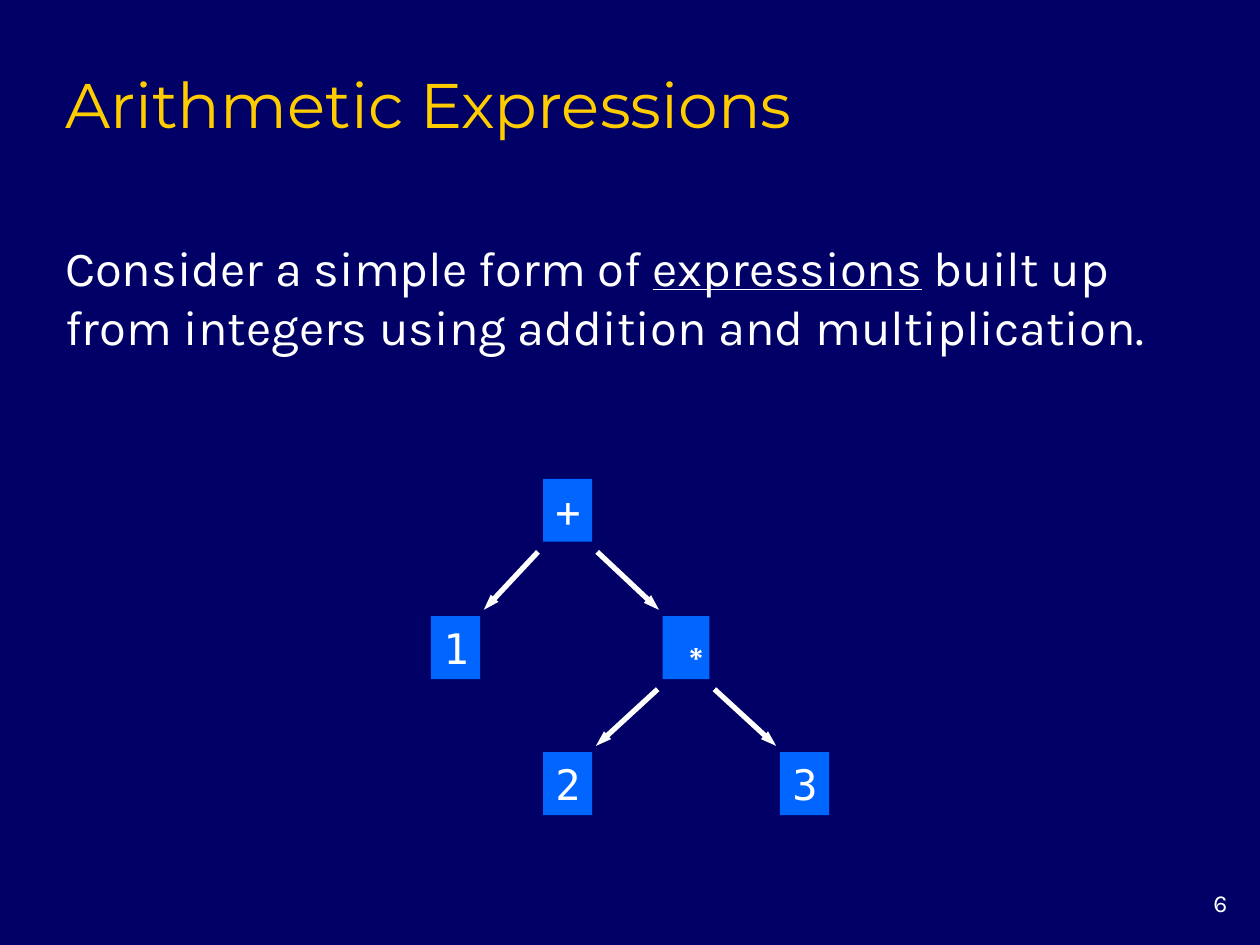
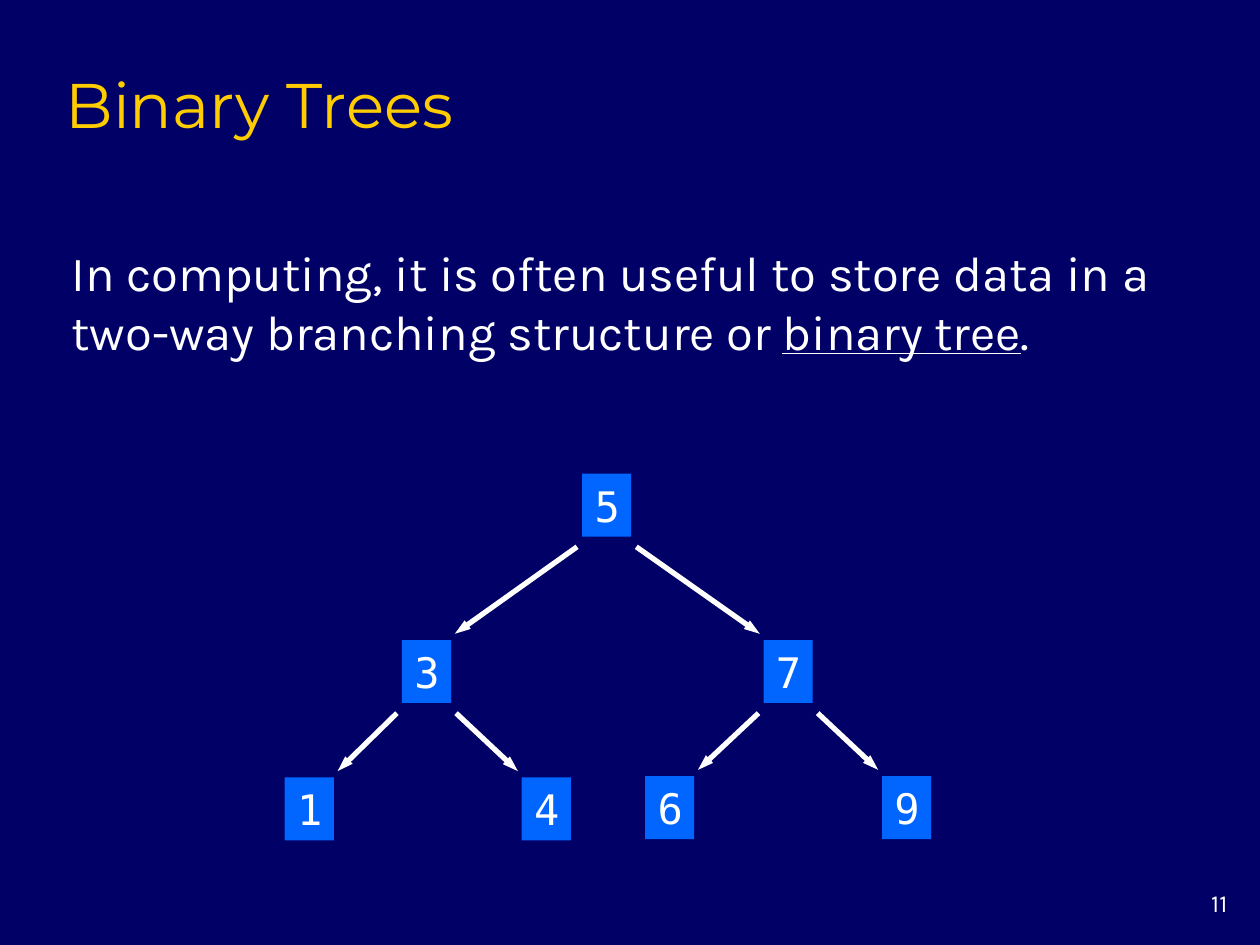
from dataclasses import dataclass
from typing import Optional

from lxml import etree
from pptx import Presentation
from pptx.dml.color import RGBColor
from pptx.enum import shapes, text
from pptx.oxml import ns
from pptx.util import Inches, Pt

NAVY = RGBColor(0x00, 0x00, 0x66)
GOLD = RGBColor(0xFF, 0xCC, 0x00)
BLUE = RGBColor(0x00, 0x66, 0xFF)
WHITE = RGBColor(0xFF, 0xFF, 0xFF)

TITLE_FONT, BODY_FONT, NODE_FONT = "Montserrat", "Karla", "DejaVu Sans Mono"

NODE_HEIGHT = 0.5
START_GAP_X, START_GAP_Y = 0.04, 0.08  # from the parent's lower corner
END_GAP_X, END_GAP_Y = 0.03, 0.05      # to the child's upper corner


@dataclass
class Node:
    label: str
    left: float
    top: float
    children: Optional[tuple["Node", "Node"]] = None
    width: float = 0.39
    font: str = NODE_FONT


@dataclass
class TreeSlide:
    number: int
    title: str
    body_box: tuple[float, float, float, float]
    before: str
    term: str
    after: str
    root: Node


SLIDES = [
    TreeSlide(
        6, "Arithmetic Expressions", (0.42, 1.83, 9.1, 1.04),
        "Consider a simple form of ", "expressions",
        " built up from integers using addition and multiplication.",
        Node("+", 4.31, 3.8, (
            Node("1", 3.42, 4.89),
            Node("∗", 5.26, 4.89, (Node("2", 4.31, 5.97), Node("3", 6.19, 5.97)),
                 width=0.37, font="Arial"),
        )),
    ),
    TreeSlide(
        11, "Binary Trees", (0.47, 1.87, 8.96, 1.04),
        "In computing, it is often useful to store data in a "
        "two-way branching structure or ", "binary tree", ".",
        Node("5", 4.62, 3.76, (
            Node("3", 3.19, 5.08, (Node("1", 2.26, 6.17), Node("4", 4.14, 6.17))),
            Node("7", 6.06, 5.08, (Node("6", 5.12, 6.16), Node("9", 7, 6.16))),
        )),
    ),
]


def add_run(p, content: str, *, font: str = BODY_FONT, size: int = 28,
            color: RGBColor = WHITE, underline: bool = False) -> None:
    r = p.add_run()
    r.text = content
    r.font.name = font
    r.font.size = Pt(size)
    r.font.color.rgb = color
    r.font.underline = underline


def format_frame(tf, *, anchor=text.MSO_ANCHOR.TOP, align=text.PP_ALIGN.LEFT,
                 wrap: bool = True, grow: bool = False):
    """Set the frame's layout and return its first paragraph."""
    tf.word_wrap = wrap
    tf.auto_size = (text.MSO_AUTO_SIZE.SHAPE_TO_FIT_TEXT if grow
                    else text.MSO_AUTO_SIZE.NONE)
    tf.vertical_anchor = anchor
    tf.paragraphs[0].alignment = align
    return tf.paragraphs[0]


def add_node(slide, node: Node) -> None:
    sp = slide.shapes.add_shape(
        shapes.MSO_SHAPE.RECTANGLE, Inches(node.left), Inches(node.top),
        Inches(node.width), Inches(NODE_HEIGHT))
    sp.shadow.inherit = False
    sp.fill.solid()
    sp.fill.fore_color.rgb = BLUE
    sp.line.fill.background()
    p = format_frame(sp.text_frame, anchor=text.MSO_ANCHOR.MIDDLE,
                     align=text.PP_ALIGN.CENTER, wrap=False, grow=True)
    add_run(p, node.label, font=node.font, size=24)


def add_arrow(slide, parent: Node, child: Node) -> None:
    """Join the facing corners of a parent and its child."""
    if child.left < parent.left:
        x1 = parent.left - START_GAP_X
        x2 = child.left + child.width + END_GAP_X
    else:
        x1 = parent.left + parent.width + START_GAP_X
        x2 = child.left - END_GAP_X
    y1 = parent.top + NODE_HEIGHT + START_GAP_Y
    y2 = child.top - END_GAP_Y
    arrow = slide.shapes.add_connector(
        shapes.MSO_CONNECTOR.STRAIGHT, Inches(x1), Inches(y1), Inches(x2), Inches(y2))
    arrow.line.color.rgb = WHITE
    arrow.line.width = Pt(3)
    properties = arrow._element.spPr
    etree.SubElement(properties.get_or_add_ln(), ns.qn("a:tailEnd"),
                     type="triangle", w="sm", len="med")
    etree.SubElement(properties, ns.qn("a:effectLst"))


def add_tree(slide, node: Node) -> None:
    add_node(slide, node)
    for child in node.children or ():
        add_arrow(slide, node, child)
        add_tree(slide, child)


def add_text_box(slide, box: tuple[float, float, float, float], **layout):
    """Add an empty text box and return its first paragraph."""
    sp = slide.shapes.add_textbox(*map(Inches, box))
    return format_frame(sp.text_frame, **layout)


def add_tree_slide(prs, content: TreeSlide) -> None:
    slide = prs.slides.add_slide(prs.slide_layouts[5])
    title = slide.shapes.title
    title.left, title.top = Inches(0.42), Inches(0.42)
    title.width, title.height = Inches(8.5), Inches(0.75)
    p = format_frame(title.text_frame, anchor=text.MSO_ANCHOR.BOTTOM)
    add_run(p, content.title, font=TITLE_FONT, size=36, color=GOLD)

    p = add_text_box(slide, content.body_box, anchor=text.MSO_ANCHOR.MIDDLE, grow=True)
    add_run(p, content.before)
    add_run(p, content.term, underline=True)
    add_run(p, content.after)

    add_tree(slide, content.root)

    p = add_text_box(slide, (9.17, 7, 0.67, 0.33), align=text.PP_ALIGN.RIGHT)
    add_run(p, str(content.number), size=14)


def main() -> None:
    prs = Presentation()
    prs.slide_width, prs.slide_height = Inches(10), Inches(7.5)
    background = prs.slide_master.background.fill
    background.solid()
    background.fore_color.rgb = NAVY
    for content in SLIDES:
        add_tree_slide(prs, content)
    prs.save("out.pptx")


if __name__ == "__main__":
    main()
